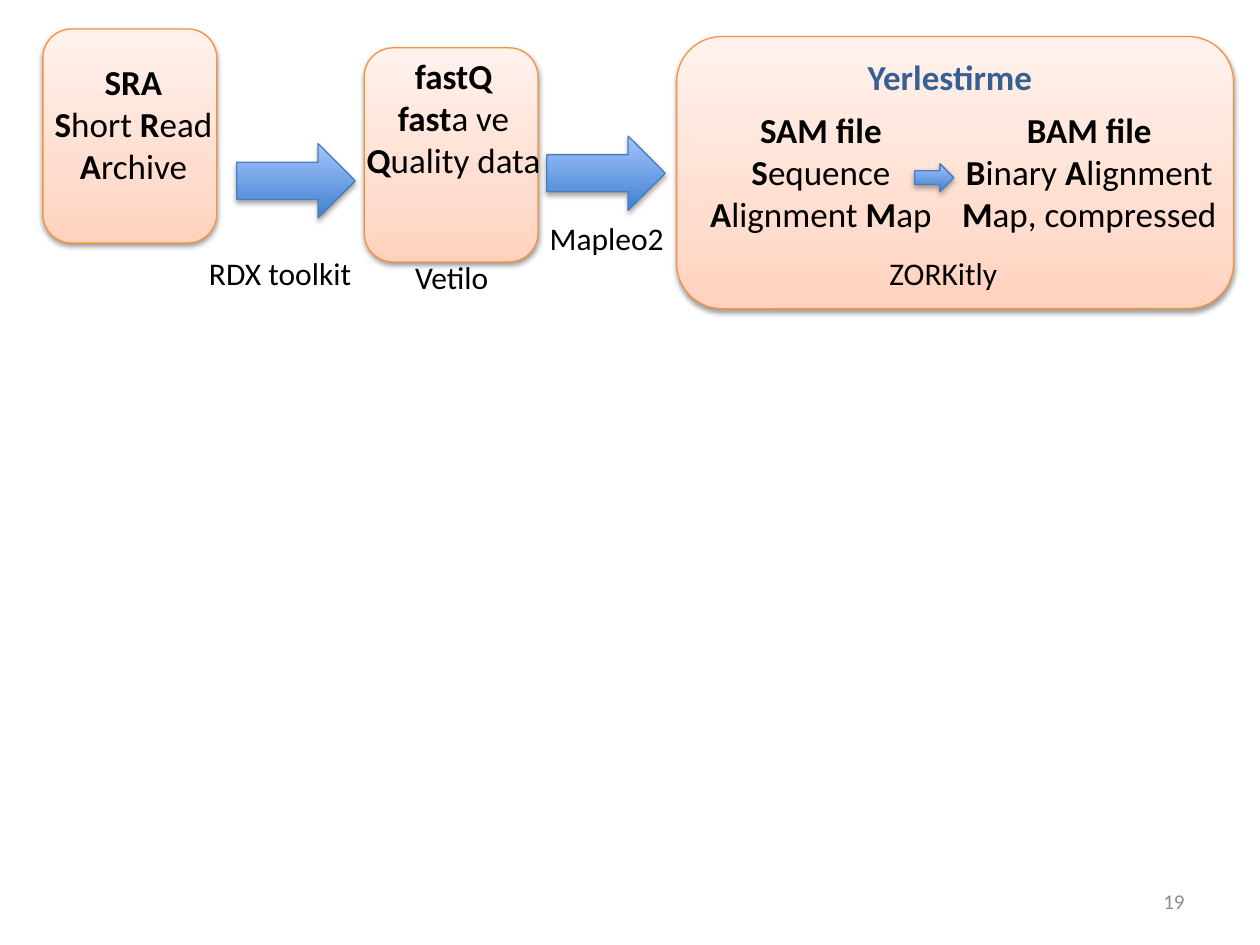
from dataclasses import dataclass
from lxml.etree import SubElement
from pptx import Presentation
from pptx.dml.color import RGBColor
from pptx.enum.shapes import MSO_SHAPE
from pptx.enum.text import MSO_ANCHOR, PP_ALIGN
from pptx.oxml.ns import qn
from pptx.util import Inches, Pt


@dataclass(frozen=True)
class Theme:
    font: str = "Calibri"
    heading: int = 20
    label: int = 18
    number: int = 12
    text: str = "000000"
    accent: str = "376092"
    muted: str = "8C8C8C"
    line: float = 0.75


@dataclass(frozen=True)
class Style:
    preset: MSO_SHAPE
    stops: tuple
    line: str
    shadow_alpha: int
    shadow_distance: float


THEME = Theme()
BOX = Style(MSO_SHAPE.ROUNDED_RECTANGLE,
            ((0, "FFD2BD"), (35, "FFDED0"), (100, "FFF2ED")), "F69240", 38, 1.6)
ARROW = Style(MSO_SHAPE.RIGHT_ARROW,
              ((0, "3F80CE"), (100, "A4C4FF")), "4B7EBC", 35, 1.8)

STEP_SIZE = (1.38, 1.7)
ARROW_SIZE = (0.94, 0.59)
SHAPES = [
    (BOX, (0.34, 0.23), STEP_SIZE),
    (BOX, (5.37, 0.29), (4.42, 2.16)),
    (BOX, (2.89, 0.38), STEP_SIZE),
    (ARROW, (1.88, 1.14), ARROW_SIZE),
    (ARROW, (4.34, 1.08), ARROW_SIZE),
    (ARROW, (7.26, 1.3), (0.31, 0.22)),
]
FORMATS = [
    ((0.18, 0.43, 1.76), ["*SRA*", "*S*hort *R*ead *A*rchive"]),
    ((2.72, 0.38, 1.76), ["*fastQ*", "*fast*a ve *Q*uality data"]),
    ((5.37, 0.81, 2.29), ["*SAM file*", "*S*equence *A*lignment *M*ap"]),
    ((7.5, 0.81, 2.29), ["*BAM file*", "*B*inary *A*lignment *M*ap, compressed"]),
]
TOOLS = [
    ((1.56, 1.97, 1.52), "RDX toolkit", PP_ALIGN.LEFT),
    ((2.81, 2, 1.55), "Vetilo", PP_ALIGN.CENTER),
    ((4.04, 1.69, 1.55), "Mapleo2", PP_ALIGN.CENTER),
    ((6.96, 1.97, 1.45), "ZORKitly", PP_ALIGN.LEFT),
]
TITLE = "*Yerlestirme*"
SLIDE_NUMBER = 19


def add_styled_shape(s, style, at, size):
    sp = s.shapes.add_shape(style.preset, *map(Inches, at + size))
    sp.fill.gradient()
    sp.fill.gradient_angle = 90
    stops = sp.element.spPr.find(qn("a:gradFill")).find(qn("a:gsLst"))
    stops.clear()
    for position, color in style.stops:
        stop = SubElement(stops, qn("a:gs"), pos=str(position * 1000))
        SubElement(stop, qn("a:srgbClr"), val=color)
    sp.line.color.rgb = RGBColor.from_string(style.line)
    sp.line.width = Pt(THEME.line)
    sp.shadow.inherit = False
    shadow = SubElement(sp.element.spPr.find(qn("a:effectLst")), qn("a:outerShdw"),
                        blurRad=str(Pt(3.1)), dist=str(Pt(style.shadow_distance)),
                        dir="5400000", rotWithShape="0")
    color = SubElement(shadow, qn("a:srgbClr"), val="000000")
    SubElement(color, qn("a:alpha"), val=str(style.shadow_alpha * 1000))


def format_paragraph(p, size, color, align):
    p.alignment = align
    p.font.name = THEME.font
    p.font.size = Pt(size)
    p.font.color.rgb = RGBColor.from_string(color)


def write(tf, lines, size, color=THEME.text, align=PP_ALIGN.CENTER):
    tf.word_wrap = True
    for i, line in enumerate(lines):
        p = tf.add_paragraph() if i else tf.paragraphs[0]
        format_paragraph(p, size, color, align)
        for j, part in enumerate(line.split("*")):
            if part:
                r = p.add_run()
                r.text = part
                r.font.bold = j % 2 == 1


def add_text(s, at, height):
    return s.shapes.add_textbox(*map(Inches, at + (height,))).text_frame


def add_slide_number(s):
    tf = add_text(s, (7.17, 6.95, 2.33), 0.4)
    tf.vertical_anchor = MSO_ANCHOR.MIDDLE
    p = tf.paragraphs[0]
    format_paragraph(p, THEME.number, THEME.muted, PP_ALIGN.RIGHT)
    field = SubElement(p._p, qn("a:fld"), type="slidenum",
                       id="{B6F15528-21DE-4FAA-801E-634DDDAF4B2B}")
    SubElement(field, qn("a:rPr"), lang="tr-TR")
    SubElement(field, qn("a:t")).text = str(SLIDE_NUMBER)


def add_title(s):
    title = s.shapes.title
    title.left, title.top, title.width, title.height = map(Inches, (6.03, 0.39, 3.02, 0.44))
    title.text_frame.vertical_anchor = MSO_ANCHOR.TOP
    write(title.text_frame, [TITLE], THEME.heading, THEME.accent)
    s.shapes.element.append(title.element)


def main():
    prs = Presentation()
    prs.slide_width, prs.slide_height = Inches(10), Inches(7.5)
    prs.element.set("firstSlideNum", str(SLIDE_NUMBER))
    s = prs.slides.add_slide(prs.slide_layouts[5])
    for style, at, size in SHAPES:
        add_styled_shape(s, style, at, size)
    for at, label, align in TOOLS:
        write(add_text(s, at, 0.4), [label], THEME.label, align=align)
    for at, lines in FORMATS:
        write(add_text(s, at, 1.11), lines, THEME.heading)
    add_title(s)
    add_slide_number(s)
    prs.save("out.pptx")


if __name__ == "__main__":
    main()
